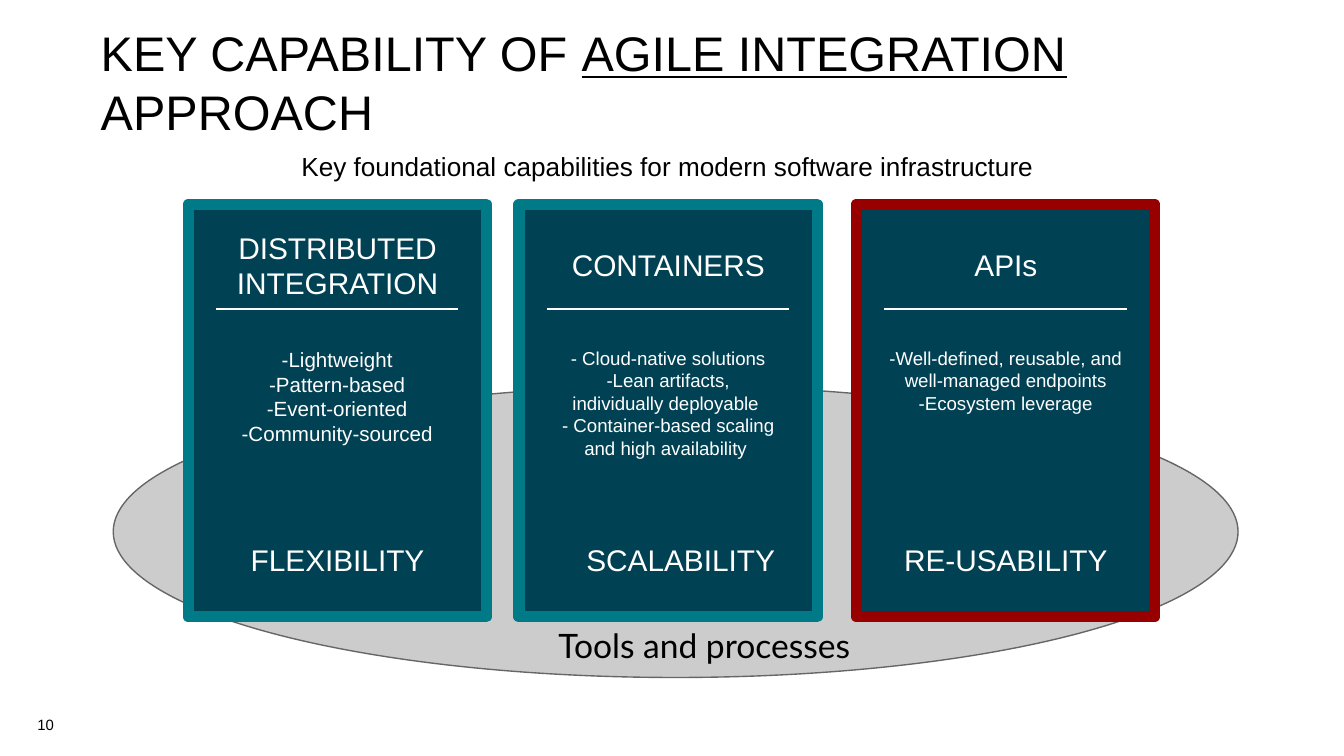
import copy
from dataclasses import dataclass

import pptx
import pptx.dml.color
import pptx.enum.shapes
import pptx.enum.text
import pptx.oxml.ns
import pptx.oxml.xmlchemy
import pptx.util

Pt = pptx.util.Pt
ALIGN = pptx.enum.text.PP_ALIGN
ANCHOR = pptx.enum.text.MSO_ANCHOR
PRESET = pptx.enum.shapes.MSO_SHAPE

COLORS = {
    "black": "000000",
    "white": "FFFFFF",
    "navy": "004153",
    "teal": "007A87",
    "red": "980000",
    "gray": "CCCCCC",
    "dark_gray": "666666",
}
CARD_TOP, CARD_WIDTH, CARD_HEIGHT = 109.5, 159.8, 221
HEADING_INSET, HEADING_WIDTH, HEADING_HEIGHT = 17.8, 124.6, 36
RULE_INSET, RULE_TOP = 15, 165.6
EVEN_INSETS = (7.2, 7.2, 7.2, 7.2)


@dataclass
class Capability:
    left: float
    border: str
    heading: str
    details: list[str]
    detail_size: float
    detail_width: float
    detail_height: float
    benefit: str
    benefit_shift: float = 0


CAPABILITIES = [
    Capability(
        100.8, "teal", "DISTRIBUTED\vINTEGRATION",
        ["-Lightweight", "-Pattern-based", "-Event-oriented", "-Community-sourced"],
        11, 132.5, 71.3, "FLEXIBILITY",
    ),
    Capability(
        278, "teal", "CONTAINERS",
        [
            "- Cloud-native solutions",
            "-Lean artifacts,\vindividually deployable ",
            "- Container-based scaling and high availability ",
        ],
        10, 146.2, 80, "SCALABILITY", 6.6,
    ),
    Capability(
        458.8, "red", "APIs",
        ["-Well-defined, reusable, and well-managed endpoints", "-Ecosystem leverage"],
        10, 146.2, 59.8, "RE-USABILITY",
    ),
]


def rgb(color: str) -> pptx.dml.color.RGBColor:
    return pptx.dml.color.RGBColor.from_string(COLORS[color])


def add_text(slide, paragraphs: list[str], left: float, top: float, width: float,
             height: float, *, size: float, color: str = "black", font: str = "Arial",
             align=ALIGN.CENTER, anchor=ANCHOR.TOP, insets=EVEN_INSETS,
             underlined: str = "") -> None:
    frame = slide.shapes.add_textbox(Pt(left), Pt(top), Pt(width), Pt(height)).text_frame
    frame.word_wrap = True
    frame.vertical_anchor = anchor
    frame.margin_left, frame.margin_top, frame.margin_right, frame.margin_bottom = map(Pt, insets)
    for index, text in enumerate(paragraphs):
        paragraph = frame.add_paragraph() if index else frame.paragraphs[0]
        paragraph.alignment = align
        if underlined:
            before, after = text.split(underlined)
            for part in (before, underlined, after):
                run = paragraph.add_run()
                run.text = part
                run.font.underline = part == underlined
        else:
            paragraph.text = text
        for run in paragraph.runs:
            run.font.name = font
            run.font.size = Pt(size)
            run.font.color.rgb = rgb(color)
        for line_break in paragraph._p.findall(pptx.oxml.ns.qn("a:br")):
            line_break.append(copy.deepcopy(paragraph.runs[0]._r.rPr))


def add_panel(slide, preset, left: float, top: float, width: float, height: float,
              fill: str, border: str, border_width: float) -> None:
    panel = slide.shapes.add_shape(preset, Pt(left), Pt(top), Pt(width), Pt(height))
    panel.shadow.inherit = False
    panel.fill.solid()
    panel.fill.fore_color.rgb = rgb(fill)
    panel.line.color.rgb = rgb(border)
    panel.line.width = Pt(border_width)
    panel.line._get_or_add_ln().append(pptx.oxml.xmlchemy.OxmlElement("a:round"))


def add_rule(slide, left: float, right: float, top: float) -> None:
    rule = slide.shapes.add_connector(
        pptx.enum.shapes.MSO_CONNECTOR.STRAIGHT, Pt(left), Pt(top), Pt(right), Pt(top))
    rule.line.color.rgb = rgb("white")
    rule.line.width = Pt(0.75)
    rule._element.spPr.append(pptx.oxml.xmlchemy.OxmlElement("a:effectLst"))


def add_label(slide, label: str, left: float, top: float) -> None:
    add_text(slide, [label], left + HEADING_INSET, top, HEADING_WIDTH, HEADING_HEIGHT,
             size=16, color="white", anchor=ANCHOR.MIDDLE)


def add_card(slide, capability: Capability) -> None:
    left = capability.left
    add_panel(slide, PRESET.RECTANGLE, left, CARD_TOP, CARD_WIDTH, CARD_HEIGHT,
              "navy", capability.border, 6)
    add_label(slide, capability.heading, left, 124)
    add_rule(slide, left + RULE_INSET, left + CARD_WIDTH - RULE_INSET, RULE_TOP)
    add_text(slide, capability.details, left + (CARD_WIDTH - capability.detail_width) / 2,
             178.6, capability.detail_width, capability.detail_height,
             size=capability.detail_size, color="white")


def main() -> None:
    presentation = pptx.Presentation()
    presentation.slide_width, presentation.slide_height = Pt(720), Pt(405)
    slide = presentation.slides.add_slide(presentation.slide_layouts[6])

    add_panel(slide, PRESET.OVAL, 60.7, 206.8, 602.6, 156.2, "gray", "dark_gray", 0.75)
    add_text(slide, ["10"], -5.8, 378, 41.8, 21.6, size=8, align=ALIGN.RIGHT,
             anchor=ANCHOR.MIDDLE, insets=(7.2, 0, 7.2, 1.4))
    add_text(slide, ["KEY CAPABILITY OF AGILE INTEGRATION APPROACH"], 54, 22.3, 643.7, 52.6,
             size=26, align=ALIGN.LEFT, anchor=ANCHOR.BOTTOM, insets=(0, 0, 0, 0),
             underlined="AGILE INTEGRATION")
    add_text(slide, ["Key foundational capabilities for modern software infrastructure "],
             64.8, 73.4, 589.7, 26, size=14)
    for capability in CAPABILITIES:
        add_card(slide, capability)
    for capability in CAPABILITIES:
        add_label(slide, capability.benefit, capability.left + capability.benefit_shift, 281.7)
    add_text(slide, ["Tools and processes"], 288, 327.6, 178.6, 43.2, size=18, font="Lato")

    presentation.save("out.pptx")


if __name__ == "__main__":
    main()
